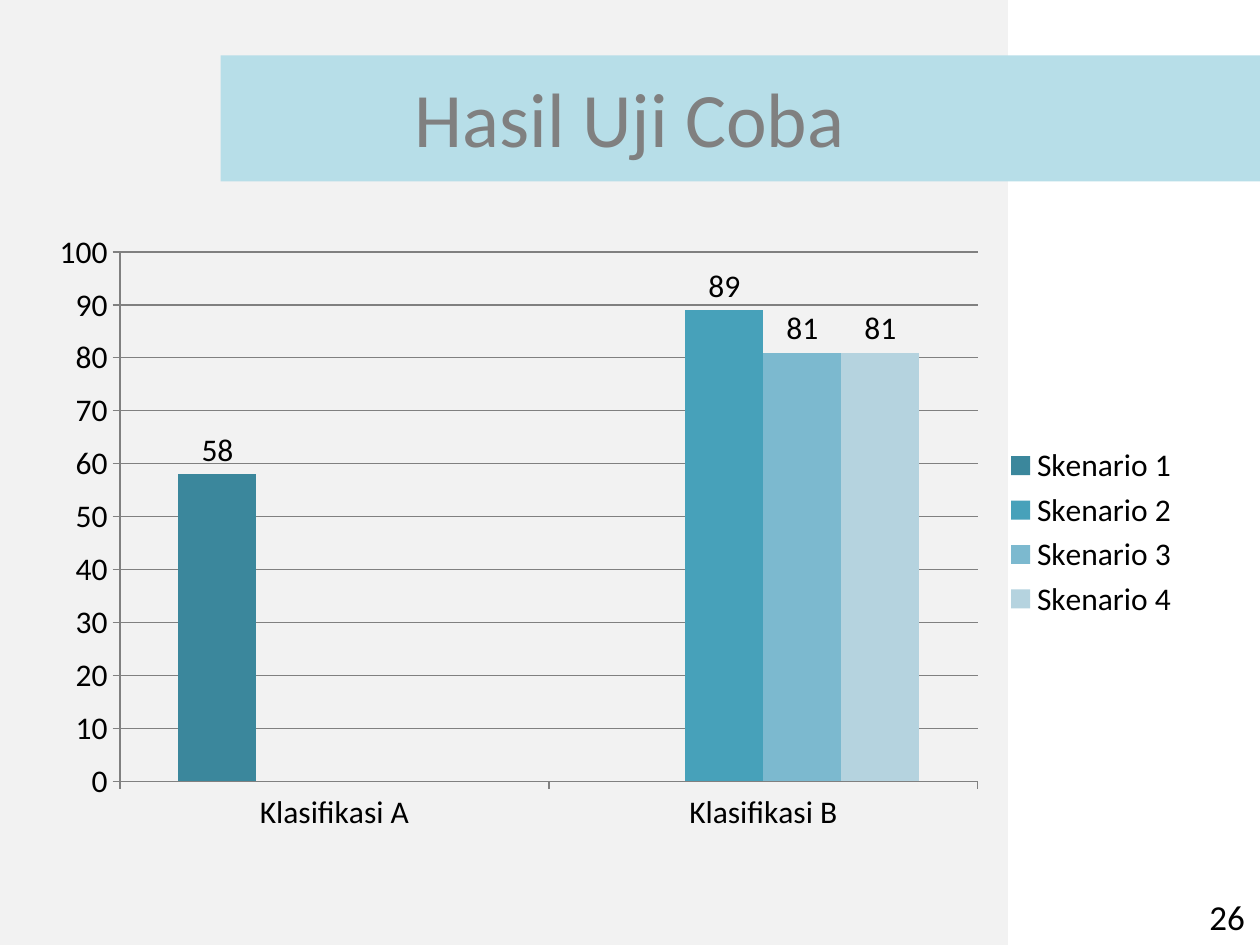
from pptx import Presentation
from pptx.chart.data import CategoryChartData
from pptx.dml.color import RGBColor
from pptx.enum.chart import XL_CHART_TYPE, XL_LABEL_POSITION, XL_LEGEND_POSITION, XL_TICK_MARK
from pptx.enum.shapes import MSO_SHAPE
from pptx.enum.text import MSO_ANCHOR, PP_ALIGN
from pptx.util import Inches, Pt

COLUMNS = XL_CHART_TYPE.COLUMN_CLUSTERED
ABOVE_BAR = XL_LABEL_POSITION.OUTSIDE_END
LEGEND_RIGHT = XL_LEGEND_POSITION.RIGHT
TICK_OUT, TICK_NONE = XL_TICK_MARK.OUTSIDE, XL_TICK_MARK.NONE
RECTANGLE = MSO_SHAPE.RECTANGLE
TOP, MIDDLE = MSO_ANCHOR.TOP, MSO_ANCHOR.MIDDLE
LEFT, CENTER = PP_ALIGN.LEFT, PP_ALIGN.CENTER

FONT = "Calibri"
BLACK, GRAY = "000000", "808080"
PANELS = [
    ((0, 0, 8, 7.5), "F2F2F2"),
    ((1.75, 0.44, 8.25, 1), "B7DEE8"),
]
TEXTS = [
    ("Hasil Uji Coba", (0.5, 0.3, 9, 1.25), 44, GRAY, CENTER, MIDDLE),
    ("26", (9.5, 7.06, 0.5, 0.44), 20, BLACK, LEFT, TOP),
]
CLASSES = ["Klasifikasi A", "Klasifikasi B"]
SCENARIOS = [
    ("Skenario 1", (58, None), "3B879C"),
    ("Skenario 2", (None, 89), "47A1BA"),
    ("Skenario 3", (None, 81), "7CB9CF"),
    ("Skenario 4", (None, 81), "B5D3DF"),
]
CHART_BOX = (0.29, 1.75, 9.17, 4.95)


def color(value):
    return RGBColor.from_string(value)


def inches(box):
    return [Inches(length) for length in box]


def style_font(font, size, value):
    font.name = FONT
    font.size = Pt(size)
    font.color.rgb = color(value)


def style_line(line):
    line.color.rgb = color(GRAY)
    line.width = Pt(0.75)


def add_panel(slide, box, fill):
    panel = slide.shapes.add_shape(RECTANGLE, *inches(box))
    panel.shadow.inherit = False
    panel.fill.solid()
    panel.fill.fore_color.rgb = color(fill)
    panel.line.fill.background()


def add_text(slide, text, box, size, value, alignment, anchor):
    frame = slide.shapes.add_textbox(*inches(box)).text_frame
    frame.word_wrap = True
    frame.vertical_anchor = anchor
    paragraph = frame.paragraphs[0]
    paragraph.text = text
    paragraph.alignment = alignment
    style_font(paragraph.font, size, value)


def add_results(slide):
    results = CategoryChartData()
    results.categories = CLASSES
    for name, values, _ in SCENARIOS:
        results.add_series(name, values)
    chart = slide.shapes.add_chart(COLUMNS, *inches(CHART_BOX), results).chart
    style_font(chart.font, 18, BLACK)
    chart.has_title = False
    chart.has_legend = True
    chart.legend.position = LEGEND_RIGHT
    chart.legend.include_in_layout = False

    for axis in (chart.category_axis, chart.value_axis):
        axis.major_tick_mark = TICK_OUT
        axis.minor_tick_mark = TICK_NONE
        style_line(axis.format.line)
    scale = chart.value_axis
    scale.minimum_scale, scale.maximum_scale, scale.major_unit = 0, 100, 10
    scale.has_major_gridlines = True
    style_line(scale.major_gridlines.format.line)

    plot = chart.plots[0]
    plot.gap_width = 150
    plot.overlap = 0
    plot.vary_by_categories = False
    for series, (_, _, fill) in zip(plot.series, SCENARIOS):
        series.format.fill.solid()
        series.format.fill.fore_color.rgb = color(fill)
        series.data_labels.show_value = True
        series.data_labels.position = ABOVE_BAR


def main():
    deck = Presentation()
    deck.slide_width, deck.slide_height = Inches(10), Inches(7.5)
    slide = deck.slides.add_slide(deck.slide_layouts[6])
    for panel in PANELS:
        add_panel(slide, *panel)
    for text in TEXTS:
        add_text(slide, *text)
    add_results(slide)
    deck.save("out.pptx")


if __name__ == "__main__":
    main()
